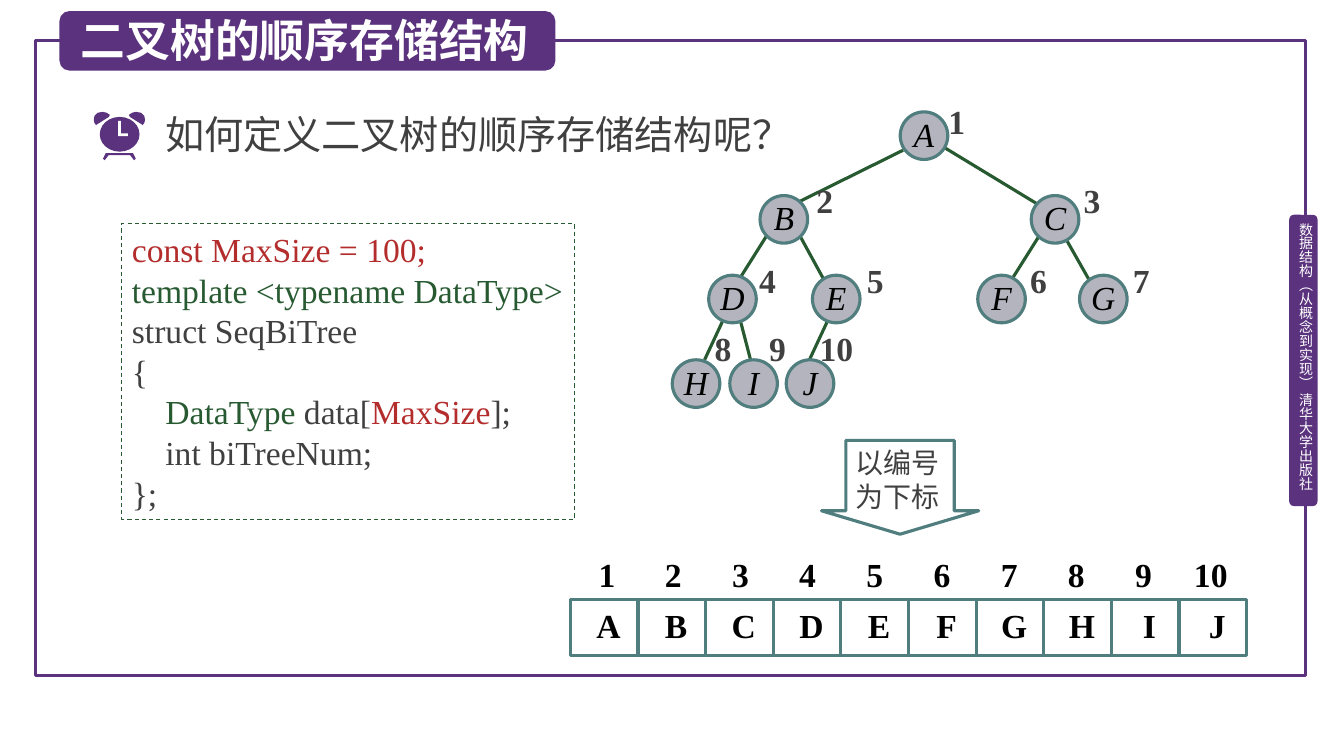
"""Build the slide on sequential storage of a binary tree."""
from dataclasses import dataclass

from lxml import etree
from pptx import Presentation
from pptx.dml.color import RGBColor
from pptx.enum.dml import MSO_LINE
from pptx.enum.shapes import MSO_CONNECTOR, MSO_SHAPE
from pptx.enum.text import MSO_ANCHOR, MSO_AUTO_SIZE, PP_ALIGN
from pptx.oxml.ns import qn
from pptx.util import Pt

RECT, ROUNDED = MSO_SHAPE.RECTANGLE, MSO_SHAPE.ROUNDED_RECTANGLE
OVAL, DOWN_ARROW = MSO_SHAPE.OVAL, MSO_SHAPE.DOWN_ARROW
STRAIGHT, DASH = MSO_CONNECTOR.STRAIGHT, MSO_LINE.DASH
LEFT, CENTER, JUSTIFY = PP_ALIGN.LEFT, PP_ALIGN.CENTER, PP_ALIGN.JUSTIFY
TOP, MIDDLE = MSO_ANCHOR.TOP, MSO_ANCHOR.MIDDLE
TITLE_ONLY = 5


@dataclass(frozen=True)
class Theme:
    purple: str = "5A327D"
    green: str = "285A32"
    teal: str = "507D7D"
    red: str = "B42D2D"
    node: str = "B4B4BE"
    text: str = "404040"
    black: str = "000000"
    white: str = "FFFFFF"
    chinese: str = "Noto Sans CJK SC"
    latin: str = "Times New Roman"
    title_size: int = 32
    question_size: int = 28
    code_size: int = 24
    arrow_size: int = 20
    side_size: int = 10
    line: float = 2.25


THEME = Theme()


def write(box, paras, *, size, color, font=THEME.latin, bold=False, italic=False,
          align=LEFT, anchor=TOP, insets=(7.2, 3.6, 7.2, 3.6), spacing=None, tabs=()):
    """Fill a box with paragraphs, each a string or a list of (text, colour) spans."""
    frame = box.text_frame
    frame.word_wrap = True
    frame.auto_size = MSO_AUTO_SIZE.NONE
    frame.vertical_anchor = anchor
    (frame.margin_left, frame.margin_top,
     frame.margin_right, frame.margin_bottom) = map(Pt, insets)
    for index, spans in enumerate(paras):
        para = frame.add_paragraph() if index else frame.paragraphs[0]
        para.alignment = align
        if spacing:
            para.line_spacing = Pt(spacing)
        if tabs:
            stops = etree.SubElement(para._p.get_or_add_pPr(), qn("a:tabLst"))
            for stop in tabs:
                etree.SubElement(stops, qn("a:tab"), pos=str(Pt(stop)), algn="ctr")
        for text, tint in [(spans, color)] if isinstance(spans, str) else spans:
            span = para.add_run()
            span.text = text
            span.font.size = Pt(size)
            span.font.bold = bold
            span.font.italic = italic
            span.font.color.rgb = RGBColor.from_string(tint)
            span.font.name = font
            etree.SubElement(span._r.get_or_add_rPr(), qn("a:ea"), typeface=font)


class Page:
    """Hold the theme and the current slide, and draw its elements in points."""

    def __init__(self, slide, theme):
        self.slide, self.shapes, self.theme = slide, slide.shapes, theme

    def paint(self, shape, fill=None, line=None, width=None, dash=None):
        shape.shadow.inherit = False
        if fill:
            shape.fill.solid()
            shape.fill.fore_color.rgb = RGBColor.from_string(fill)
        else:
            shape.fill.background()
        if line:
            shape.line.color.rgb = RGBColor.from_string(line)
            shape.line.width = Pt(width or self.theme.line)
            if dash:
                shape.line.dash_style = dash
        else:
            shape.line.fill.background()
        return shape

    def shape(self, kind, place, **style):
        return self.paint(self.shapes.add_shape(kind, *map(Pt, place)), **style)

    def outline(self, points, fill):
        corners = [(Pt(x), Pt(y)) for x, y in points]
        builder = self.shapes.build_freeform(*corners[0], scale=1.0)
        builder.add_line_segments(corners[1:], close=True)
        return self.paint(builder.convert_to_shape(), fill=fill)

    def edge(self, *ends):
        edge = self.shapes.add_connector(STRAIGHT, *map(Pt, ends))
        edge.line.color.rgb = RGBColor.from_string(self.theme.green)
        edge.line.width = Pt(self.theme.line)
        etree.SubElement(edge._element.spPr, qn("a:effectLst"))

    def text(self, place, paras, **style):
        box = self.shapes.add_textbox(*map(Pt, place))
        write(box, paras, **style)
        return box

    def title(self, place, text, **style):
        title = self.shapes.title
        self.shapes._spTree.append(title._element)
        title.left, title.top, title.width, title.height = map(Pt, place)
        write(title, [text], **style)

    def clock(self):
        purple = self.theme.purple
        ear = [(77.8, 83.5), (78.5, 82.1), (76.3, 80.6), (73.4, 79.9), (69.8, 80.6),
               (67.5, 82.8), (67, 85.7), (67.5, 87.8), (68.6, 89.3)]
        self.outline([(75.6, 109.4), (95, 109.4), (97, 113.4), (95.8, 114.5), (93, 110.9),
                      (77.6, 110.9), (74.8, 114.5), (73.6, 113.4)], purple)
        self.outline(ear, purple)
        self.outline([(170.6 - x, y) for x, y in ear], purple)
        self.shape(OVAL, (71.3, 83.5, 28.4, 24.8), fill=purple)
        self.outline([(84.4, 86.4), (86.4, 86.4), (86.4, 95.2), (91.4, 95.2),
                      (91.4, 97.2), (84.4, 97.2)], self.theme.white)


def draw_frame(page, theme):
    """Draw the border, the side tab and the title bar."""
    page.shape(RECT, (25.2, 28.8, 907.2, 453.6), line=theme.purple)
    page.shape(ROUNDED, (920.9, 153.4, 20.2, 208.1), fill=theme.purple)
    side = page.text((926.6, 159.1, 12.2, 202.3), ["数据结构（从概念到实现） 清华大学出版社"],
                     size=theme.side_size, color=theme.white, font=theme.chinese,
                     anchor=MIDDLE, insets=(0, 0, 0, 0))
    side.text_frame._txBody.bodyPr.set("vert", "eaVert")
    page.shape(ROUNDED, (42.5, 7.9, 354.2, 42.5), fill=theme.purple)
    page.title((50.4, 5, 341.3, 46.1), "二叉树的顺序存储结构", size=theme.title_size,
               color=theme.white, font=theme.chinese, bold=True, anchor=MIDDLE)


def draw_tree(page, theme):
    """Draw the edges, the lettered nodes and their numbers."""
    for ends in [(645.1, 107.3, 566.6, 146.2), (671.8, 103.7, 745.2, 148.3),
                 (550.8, 163.4, 526.3, 202.3), (570.2, 166.3, 591.1, 204.5),
                 (742.3, 168.5, 717.8, 207.4), (761.8, 171.4, 783.4, 209.5),
                 (517.7, 226.1, 503.3, 257), (529.2, 230.4, 537.8, 263.5),
                 (592.6, 226.1, 578.2, 257)]:
        page.edge(*ends)
    levels = [(79.9, 70.6, [("A", 643, 677.5)]),
              (139.7, 127.4, [("B", 542.9, 583.2), ("C", 736.6, 774)]),
              (196.6, 184.3, [("D", 506.2, 542.2), ("E", 580.3, 619.2),
                              ("F", 698.4, 735.8), ("G", 771.1, 809.3)]),
              (257, 232.6, [("H", 480.2, 510.5), ("I", 521.3, 549.4), ("J", 561.6, 585.4)])]
    number = 0
    for node_top, number_top, nodes in levels:
        for letter, node_left, number_left in nodes:
            number += 1
            node = page.shape(OVAL, (node_left, node_top, 34, 34),
                              fill=theme.node, line=theme.teal)
            write(node, [letter], size=theme.code_size, color=theme.black, italic=True,
                  align=CENTER, insets=(0, 0, 0, 0), spacing=25)
            page.text((number_left, number_top, 30, 28), [str(number)],
                      size=theme.code_size, color=theme.text, bold=True,
                      align=JUSTIFY, insets=(0, 1.4, 0, 0))


def draw_array(page, theme):
    """Draw the arrow and the numbered array cells."""
    arrow = page.shape(DOWN_ARROW, (586.8, 314.6, 112.3, 67), line=theme.teal)
    arrow.adjustments[0], arrow.adjustments[1] = 0.69, 0.25
    write(arrow, ["以编号", "为下标"], size=theme.arrow_size, color=theme.text,
          font=theme.chinese, anchor=MIDDLE, spacing=24)
    step = 48.3
    page.text((420.5, 392.4, 479.5, 36), ["\t".join(str(n) for n in range(1, 11))],
              size=theme.code_size, color=theme.black, bold=True,
              tabs=[5.3 + 48 * n for n in range(1, 10)])
    for index, letter in enumerate("ABCDEFGHIJ"):
        cell = page.shape(RECT, (407.5 + step * index, 428.4, step, 39.6), line=theme.teal)
        write(cell, [letter], size=theme.code_size, color=theme.black, bold=True,
              align=CENTER, insets=(13.2, 3.6, 7.2, 3.6))


def draw_code(page, theme):
    """Draw the question and the structure definition."""
    code = page.shape(RECT, (87.1, 159.8, 323.3, 211), line=theme.green, width=0.75, dash=DASH)
    write(code, [[("const MaxSize = 100;", theme.red)],
                 [("template <typename DataType>", theme.green)],
                 "struct SeqBiTree", "{",
                 [("    DataType ", theme.green), ("data[", theme.text),
                  ("MaxSize", theme.red), ("];", theme.text)],
                 "    int biTreeNum;", "};"],
          size=theme.code_size, color=theme.text, spacing=29)
    page.text((110.9, 74.9, 465.1, 41), ["如何定义二叉树的顺序存储结构呢？"],
              size=theme.question_size, color=theme.text, font=theme.chinese, anchor=MIDDLE)
    page.clock()


def main():
    """Build and save the deck."""
    deck = Presentation()
    deck.slide_width, deck.slide_height = Pt(960), Pt(540)
    page = Page(deck.slides.add_slide(deck.slide_layouts[TITLE_ONLY]), THEME)
    for draw in (draw_frame, draw_tree, draw_array, draw_code):
        draw(page, THEME)
    deck.save("out.pptx")


if __name__ == "__main__":
    main()
